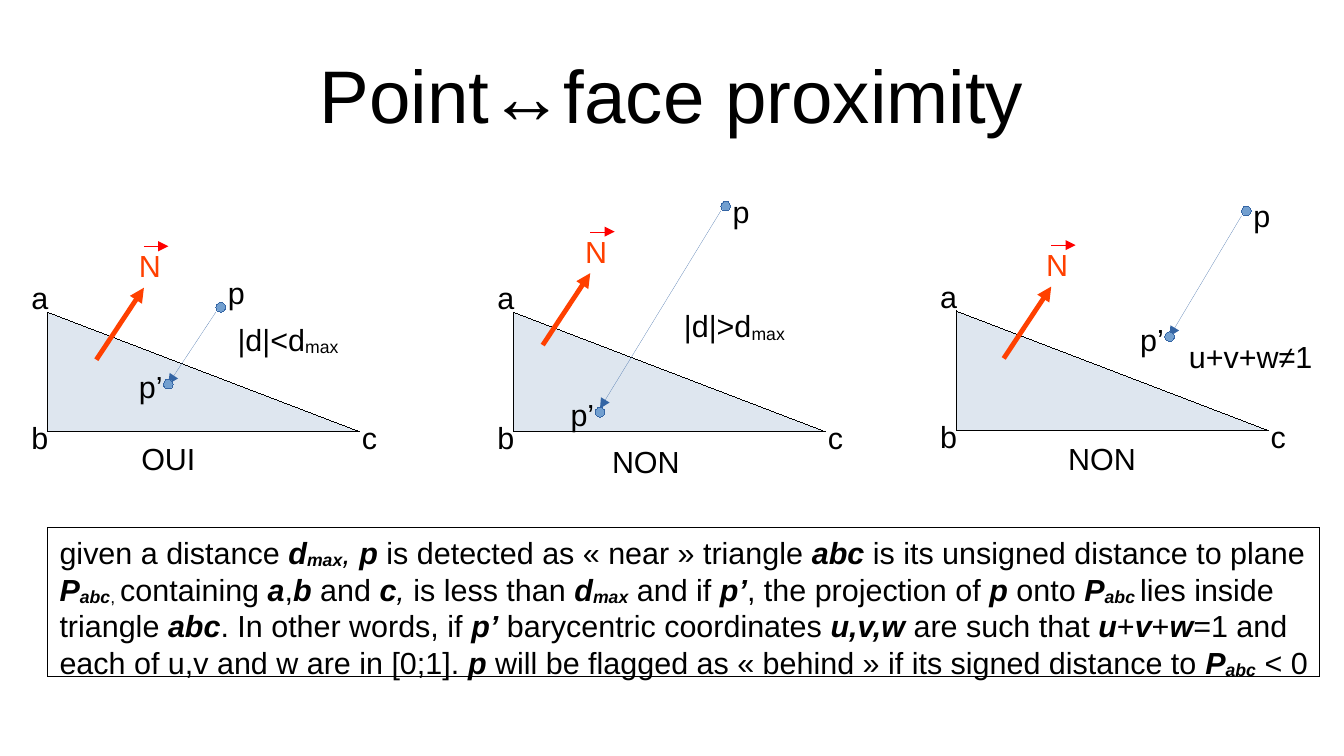
from collections import namedtuple

from pptx import Presentation
from pptx.dml.color import RGBColor
from pptx.enum.shapes import MSO_CONNECTOR as Connector, MSO_SHAPE as Shape
from pptx.enum.text import MSO_ANCHOR as Anchor, PP_ALIGN as Align
from pptx.oxml.ns import qn
from pptx.util import Inches, Pt
from lxml.etree import SubElement

BLACK, BLUE, ORANGE, RED = "000000", "3465A4", "FF4000", "FF0000"
PALE, DOT_FILL = "DEE6EF", "729FCF"
DOT = 0.08

Case = namedtuple("Case", "box normal point point_label foot gap condition condition_at verdict verdict_at")

CASES = [
    Case((0.39, 2.56, 2.56, 0.98), (0.4, 0.39), (1.38, 0), -0.36, (0.99, 0.59), 0,
         [("|d|<d", ""), ("max", "s")], (1.46, 0.02), ("OUI", 0.65), (0.67, 1)),
    Case((4.21, 2.56, 2.56, 0.98), (0.24, 0.27), (1.7, -0.83), -0.2, (0.71, 0.82), 0.03,
         [("|d|>d", ""), ("max", "s")], (1.3, -0.09), ("NON", 0.76), (0.71, 1.02)),
    Case((7.84, 2.55, 2.56, 0.98), (0.39, 0.39), (2.34, -0.78), -0.2, (1.75, 0.21), 0,
         [("u+v+w≠1", "")], (1.81, 0.17), ("NON", 0.76), (0.82, 1.01)),
]

DEFINITION = [
    [("given a distance ", ""), ("d", "bi"), ("max", "bis"), (", ", "i"), ("p", "bi"),
     (" is detected as « near » triangle ", ""), ("abc", "bi"),
     (" is its unsigned distance to plane", "")],
    [("P", "bi"), ("abc", "bis"), (", ", "s"), ("containing ", ""), ("a", "bi"), (",", ""),
     ("b", "bi"), (" and ", ""), ("c", "bi"), (", ", "i"), ("is less than ", ""), ("d", "bi"),
     ("max", "bis"), (" and if ", ""), ("p’", "bi"), (", the projection of ", ""), ("p", "bi"),
     (" onto ", ""), ("P", "bi"), ("abc ", "bis"), ("lies inside", "")],
    [("triangle ", ""), ("abc", "bi"), (". In other words, if ", ""), ("p’", "bi"),
     (" barycentric coordinates ", ""), ("u,v,w", "bi"), (" are such that ", ""), ("u", "bi"),
     ("+", ""), ("v", "bi"), ("+", ""), ("w", "bi"), ("=1 and", "")],
    [("each of u,v and w are in [0;1]. ", ""), ("p", "bi"),
     (" will be flagged as « behind » if its signed distance to ", ""), ("P", "bi"),
     ("abc", "bis"), (" < 0", "")],
]


def color(value):
    return RGBColor.from_string(value)


def inches(*lengths):
    return [Inches(length) for length in lengths]


def write(para, spans, ink=BLACK):
    para.alignment = Align.LEFT
    for text, style in spans:
        span = para.add_run()
        span.text = text
        span.font.name = "Arial"
        span.font.size = Pt(18)
        span.font.color.rgb = color(ink)
        span.font.bold = "b" in style
        span.font.italic = "i" in style
        if "s" in style:
            span._r.get_or_add_rPr().set("baseline", "-8000")


def add_label(page, left, top, width, spans, ink=BLACK):
    box = page.shapes.add_textbox(*inches(left, top, width, 0.38))
    box.text_frame.word_wrap = True
    write(box.text_frame.paragraphs[0], spans, ink)


def draw_line(line, ink, width=0):
    line.color.rgb = color(ink)
    outline = line._get_or_add_ln()
    outline.set("w", str(Pt(width)))
    return outline


def add_outline(page, kind, box, fill=None, line=BLACK):
    shape = page.shapes.add_shape(kind, *inches(*box))
    shape.shadow.inherit = False
    if fill:
        shape.fill.solid()
        shape.fill.fore_color.rgb = color(fill)
    else:
        shape.fill.background()
    draw_line(shape.line, line)
    return shape


def add_arrow(page, start, end, ink, width=0):
    arrow = page.shapes.add_connector(Connector.STRAIGHT, *inches(*start, *end))
    outline = draw_line(arrow.line, ink, width)
    SubElement(outline, qn("a:tailEnd"), type="triangle")
    SubElement(arrow._element.spPr, qn("a:effectLst"))


def add_dot(page, left, top):
    add_outline(page, Shape.OVAL, (left, top, DOT, DOT), DOT_FILL, BLUE)


def add_title(page, box):
    title = page.shapes.title
    title.left, title.top, title.width, title.height = inches(*box)
    frame = title.text_frame
    frame.text = "Point↔face proximity"
    frame.word_wrap = True
    frame.vertical_anchor = Anchor.MIDDLE
    frame.margin_left = frame.margin_top = frame.margin_right = frame.margin_bottom = 0
    para = frame.paragraphs[0]
    para.alignment = Align.CENTER
    font = para.runs[0].font
    font.name, font.size = "Arial", Pt(44)
    font.color.rgb = color(BLACK)


def add_normal(page, x, y):
    add_arrow(page, (x, y), (x + 0.39, y - 0.59), ORANGE, 2.83)
    add_label(page, x + 0.25, y - 0.97, 0.38, [("N", "")], ORANGE)
    add_arrow(page, (x + 0.39, y - 0.93), (x + 0.59, y - 0.93), RED)


def add_projection(page, point, point_label, foot, gap):
    x, y = point
    foot_x, foot_y = foot
    add_arrow(page, point, (foot_x, foot_y - gap), BLUE)
    add_label(page, x, y + point_label, 0.34, [("p", "")])
    add_label(page, foot_x - 0.34, foot_y - 0.18, 0.4, [("p’", "")])
    add_dot(page, x, y - DOT)
    add_dot(page, foot_x - DOT / 2, foot_y - DOT / 2)


def add_case(page, case):
    left, top, width, height = case.box

    def place(offset):
        return left + offset[0], top + offset[1]

    add_outline(page, Shape.RIGHT_TRIANGLE, case.box, PALE)
    add_projection(page, place(case.point), case.point_label, place(case.foot), case.gap)
    add_normal(page, *place(case.normal))
    corners = [("a", (-0.23, -0.32)), ("b", (-0.23, height - 0.15)), ("c", (width - 0.08, height - 0.15))]
    for name, offset in corners:
        add_label(page, *place(offset), 0.34, [(name, "")])
    add_label(page, *place(case.condition_at), 1.38, case.condition)
    verdict, verdict_width = case.verdict
    add_label(page, *place(case.verdict_at), verdict_width, [(verdict, "")])


def add_definition(page, box):
    frame = add_outline(page, Shape.RECTANGLE, box).text_frame
    frame.word_wrap = True
    frame.vertical_anchor = Anchor.TOP
    frame.margin_right = Inches(0.02)
    for index, spans in enumerate(DEFINITION):
        para = frame.add_paragraph() if index else frame.paragraphs[0]
        write(para, spans)


def main():
    deck = Presentation()
    deck.slide_width, deck.slide_height = inches(11.02, 6.2)
    page = deck.slides.add_slide(deck.slide_layouts[5])
    add_title(page, (0.55, 0.25, 9.92, 1.04))
    for case in CASES:
        add_case(page, case)
    add_definition(page, (0.39, 4.33, 10.43, 1.22))
    deck.save("out.pptx")


if __name__ == "__main__":
    main()
